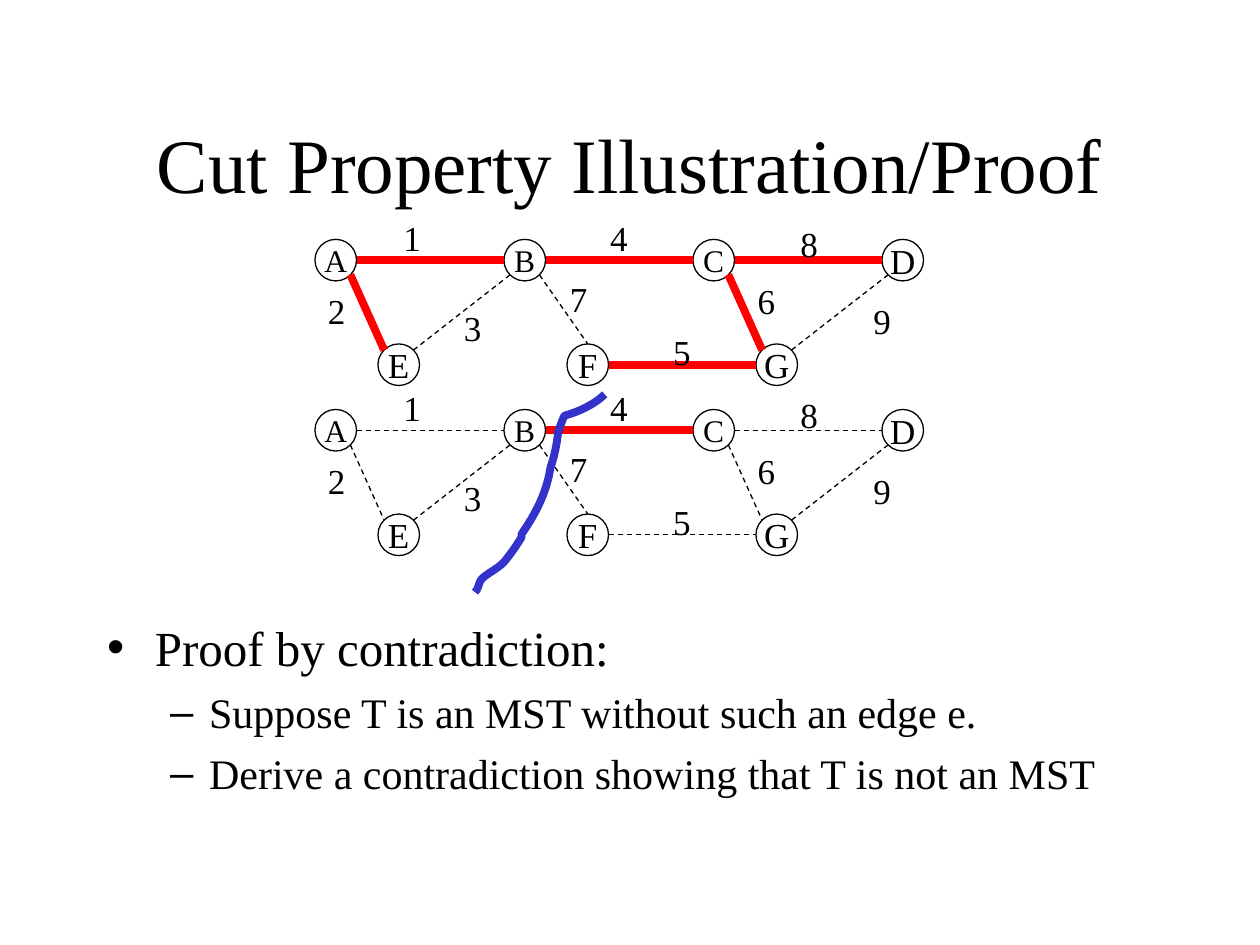
from pptx import Presentation
from pptx.dml.color import RGBColor
from pptx.enum.dml import MSO_LINE
from pptx.enum.shapes import MSO_CONNECTOR, MSO_SHAPE
from pptx.enum.text import MSO_ANCHOR, MSO_AUTO_SIZE, PP_ALIGN
from pptx.oxml.ns import qn
from pptx.util import Inches, Pt
from lxml import etree

CENTER, RIGHT = PP_ALIGN.CENTER, PP_ALIGN.RIGHT
MIDDLE, TOP = MSO_ANCHOR.MIDDLE, MSO_ANCHOR.TOP
FIXED, GROW = MSO_AUTO_SIZE.NONE, MSO_AUTO_SIZE.SHAPE_TO_FIT_TEXT
STRAIGHT, OVAL, DASH = MSO_CONNECTOR.STRAIGHT, MSO_SHAPE.OVAL, MSO_LINE.DASH

COLORS = {"ink": "000000", "tree": "FF0000", "cut": "3333CC"}
FONT = "Times New Roman"
NODE_SIZE, LABEL_WIDTH, LABEL_HEIGHT = 0.33, 0.34, 0.44
NODES = {
    "A": (0, 0, 18), "B": (1.5, 0, 18), "C": (3, 0, 18), "D": (4.5, 0, 20),
    "E": (0.5, 0.83, 20), "F": (2, 0.83, 20), "G": (3.5, 0.83, 20),
}
SITES = {
    "top": (0.5, 0), "left": (0, 0.5), "right": (1, 0.5),
    "top left": (0.15, 0.15), "top right": (0.85, 0.15),
    "bottom left": (0.15, 0.85), "bottom right": (0.85, 0.85),
}
EDGES = [
    ("A", "right", "B", "left"), ("E", "top right", "B", "bottom left"),
    ("C", "right", "D", "left"), ("A", "bottom right", "E", "top left"),
    ("B", "bottom right", "F", "top"), ("B", "right", "C", "left"),
    ("C", "bottom right", "G", "top left"), ("F", "right", "G", "left"),
    ("D", "bottom left", "G", "top right"),
]
WEIGHTS = {
    "1": (0.6, -0.23), "3": (1.08, 0.48), "8": (3.75, -0.18),
    "2": (0, 0.35), "4": (2.24, -0.23), "7": (1.92, 0.25),
    "5": (2.74, 0.67), "6": (3.41, 0.27), "9": (4.33, 0.43),
}
CUT_START = (2.3, -0.12)
CUT_CURVES = [
    ((2.22, -0.04), (2.09, 0.02), (1.98, 0.05)),
    ((1.96, 0.09), (1.93, 0.18), (1.93, 0.18)),
    ((1.92, 0.28), (1.9, 0.37), (1.87, 0.46)),
    ((1.84, 0.66), (1.75, 0.83), (1.64, 0.99)),
    ((1.64, 1), (1.64, 1.02), (1.63, 1.03)),
    ((1.6, 1.08), (1.55, 1.15), (1.51, 1.2)),
    ((1.47, 1.25), (1.39, 1.29), (1.34, 1.33)),
    ((1.29, 1.37), (1.31, 1.41), (1.27, 1.45)),
]
PROOF = [
    ("Proof by contradiction:", 0, 28, 0),
    ("Suppose T is an MST without such an edge e.", 1, 24, 6),
    ("Derive a contradiction showing that T is not an MST", 1, 24, 6),
]
BULLETS = [("•", 0.38, -0.38), ("–", 0.81, -0.31)]


def set_values(target, values):
    """Set each named value on the target."""
    for name, value in values.items():
        setattr(target, name, value)


def place(shape, box):
    """Move and size a shape to a box in inches."""
    set_values(shape, dict(zip(("left", "top", "width", "height"), map(Inches, box))))


def style_font(font, size):
    """Apply the slide's typeface and ink at a point size."""
    set_values(font, {"name": FONT, "size": Pt(size)})
    font.color.rgb = RGBColor.from_string(COLORS["ink"])


def style_line(line, color, width):
    """Set the colour and point width of a line."""
    line.color.rgb = RGBColor.from_string(COLORS[color])
    line.width = Pt(width)


def write(shape, wording, size, align, frame_values):
    """Write one formatted paragraph into a shape."""
    frame = shape.text_frame
    frame.text = wording
    set_values(frame, frame_values)
    paragraph = frame.paragraphs[0]
    paragraph.alignment = align
    style_font(paragraph.font, size)


def add_title(slide, box):
    """Fill the title placeholder."""
    title = slide.shapes.title
    place(title, box)
    write(title, "Cut Property Illustration/Proof", 44, CENTER,
          {"vertical_anchor": MIDDLE, "auto_size": FIXED, "word_wrap": True})


def add_proof(slide, box):
    """Fill the body placeholder with the proof outline."""
    body = slide.placeholders[1]
    place(body, box)
    frame = body.text_frame
    set_values(frame, {"vertical_anchor": TOP, "auto_size": FIXED,
                       "word_wrap": True, "margin_top": Inches(0.15)})
    frame.text = "\n".join(step[0] for step in PROOF)
    for paragraph, (_, level, size, gap) in zip(frame.paragraphs, PROOF):
        mark, margin, indent = BULLETS[level]
        set_values(paragraph, {"level": level, "space_before": Pt(gap)})
        properties = paragraph._p.get_or_add_pPr()
        properties.set("marL", str(Inches(margin)))
        properties.set("indent", str(Inches(indent)))
        etree.SubElement(properties, qn("a:buChar")).set("char", mark)
        style_font(paragraph.font, size)


def add_node(shapes, left, top, name):
    """Draw one circled graph node."""
    x, y, size = NODES[name]
    node = shapes.add_shape(OVAL, Inches(left + x), Inches(top + y),
                            Inches(NODE_SIZE), Inches(NODE_SIZE))
    node.shadow.inherit = False
    node.fill.background()
    style_line(node.line, "ink", 0.75)
    write(node, name, size, CENTER, {"vertical_anchor": MIDDLE, "word_wrap": False})


def site_point(left, top, name, site):
    """Return a point on a node's outline in slide lengths."""
    across, down = SITES[site]
    return (Inches(left + NODES[name][0] + across * NODE_SIZE),
            Inches(top + NODES[name][1] + down * NODE_SIZE))


def add_edge(shapes, left, top, edge, tree):
    """Draw an edge, thick when it belongs to the tree."""
    start, start_site, end, end_site = edge
    link = shapes.add_connector(STRAIGHT, *site_point(left, top, start, start_site),
                                *site_point(left, top, end, end_site))
    etree.SubElement(link._element.spPr, qn("a:effectLst"))
    if start + end in tree:
        style_line(link.line, "tree", 4.5)
    else:
        style_line(link.line, "ink", 0.75)
        link.line.dash_style = DASH


def add_graph(slide, left, top, tree):
    """Draw the weighted graph as a group and return its shapes."""
    shapes = slide.shapes.add_group_shape().shapes
    for name in NODES:
        add_node(shapes, left, top, name)
    for edge in EDGES:
        add_edge(shapes, left, top, edge, tree)
    for weight, (x, y) in WEIGHTS.items():
        label = shapes.add_textbox(Inches(left + x), Inches(top + y),
                                   Inches(LABEL_WIDTH), Inches(LABEL_HEIGHT))
        write(label, weight, 20, RIGHT, {"word_wrap": False, "auto_size": GROW})
    return shapes


def curve_points(start, curves, steps=8):
    """Return evenly stepped points along joined cubic curves."""
    points = [start]
    for first, second, end in curves:
        for t in (step / steps for step in range(1, steps + 1)):
            u = 1 - t
            points.append(tuple(
                u**3 * a + 3 * u * u * t * b + 3 * u * t * t * c + t**3 * d
                for a, b, c, d in zip(start, first, second, end)))
        start = end
    return points


def add_cut(shapes, left, top):
    """Draw the curved cut through the graph."""
    points = [(Inches(left + x), Inches(top + y))
              for x, y in curve_points(CUT_START, CUT_CURVES)]
    builder = shapes.build_freeform(*points[0])
    builder.add_line_segments(points[1:], close=False)
    cut = builder.convert_to_shape()
    cut.shadow.inherit = False
    cut.fill.background()
    style_line(cut.line, "cut", 4.5)


def main():
    """Build and save the slide."""
    deck = Presentation()
    set_values(deck, {"slide_width": Inches(10), "slide_height": Inches(7.5)})
    slide = deck.slides.add_slide(deck.slide_layouts[1])
    add_title(slide, (0.75, 0.67, 8.5, 1.25))
    add_proof(slide, (0.75, 4.75, 8.5, 1.92))
    add_graph(slide, 2.5, 1.9, {"AB", "BC", "CD", "AE", "CG", "FG"})
    add_cut(add_graph(slide, 2.5, 3.25, {"BC"}), 2.5, 3.25)
    deck.save("out.pptx")


if __name__ == "__main__":
    main()
